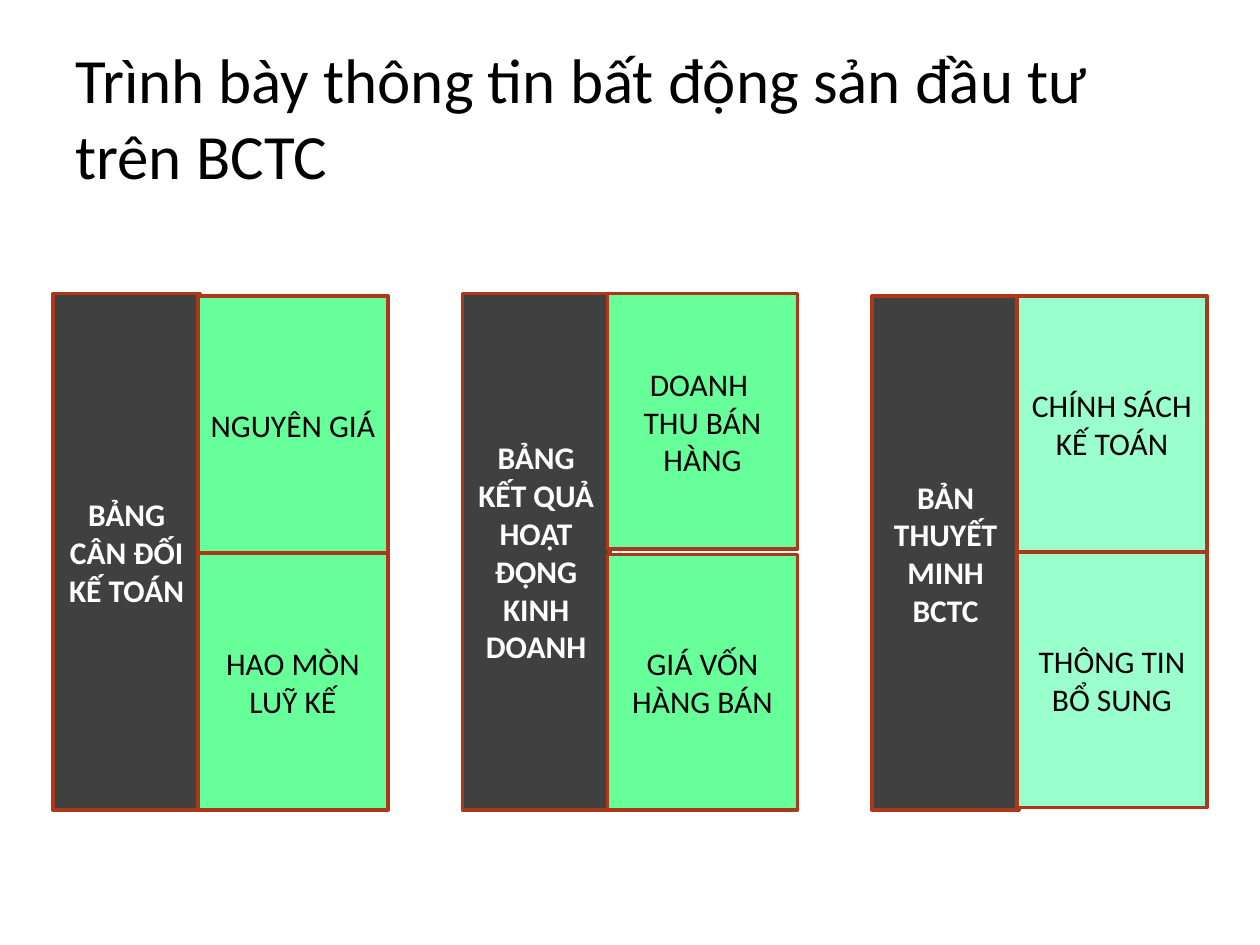
from dataclasses import dataclass

from pptx import Presentation
from pptx.dml.color import RGBColor
from pptx.enum.shapes import MSO_SHAPE
from pptx.enum.text import MSO_ANCHOR, PP_ALIGN
from pptx.util import Inches, Pt


@dataclass(frozen=True)
class Theme:
    font: str = "Calibri"
    title_size: int = 36
    body_size: int = 18
    black: str = "000000"
    white: str = "FFFFFF"
    dark: str = "404040"
    green: str = "66FF99"
    mint: str = "99FFCC"
    border: str = "AC3819"
    border_width: int = 2


@dataclass(frozen=True)
class Statement:
    """A report with its header block and the row edges of its items."""
    name: str
    items: tuple
    fill: str
    header_top: float
    item_top: float
    item_pitch: float
    item_height: float


THEME = Theme()
SLIDE_WIDTH, SLIDE_HEIGHT = 10, 7.5
FIRST_COLUMN, COLUMN_PITCH = 0.42, 3.25
HEADER_WIDTH, HEADER_BOTTOM = 1.17, 6.43
ITEM_OFFSET, ITEM_WIDTH = 1.15, 1.51

STATEMENTS = (
    Statement("BẢNG CÂN ĐỐI KẾ TOÁN", ("NGUYÊN GIÁ", "HAO MÒN LUỸ KẾ"),
              THEME.green, 2.33, 2.35, 2.04, 2.04),
    Statement("BẢNG KẾT QUẢ HOẠT ĐỘNG KINH DOANH",
              ("DOANH \nTHU BÁN HÀNG", "GIÁ VỐN HÀNG BÁN"),
              THEME.green, 2.33, 2.33, 2.07, 2.03),
    Statement("BẢN THUYẾT MINH BCTC", ("CHÍNH SÁCH KẾ TOÁN", "THÔNG TIN BỔ SUNG"),
              THEME.mint, 2.35, 2.35, 2.03, 2.03),
)


def write_text(shape, text, size, color, alignment, bold=False):
    text_frame = shape.text_frame
    text_frame.word_wrap = True
    text_frame.vertical_anchor = MSO_ANCHOR.MIDDLE
    text_frame.text = text
    for paragraph in text_frame.paragraphs:
        paragraph.alignment = alignment
        for run in paragraph.runs:
            run.font.name = THEME.font
            run.font.size = Pt(size)
            run.font.bold = bold
            run.font.color.rgb = RGBColor.from_string(color)


def add_title(slide, text):
    box = slide.shapes.add_textbox(
        Inches(0.05 * SLIDE_WIDTH), Inches(0.04 * SLIDE_HEIGHT),
        Inches(0.9 * SLIDE_WIDTH), Inches(SLIDE_HEIGHT / 6))
    write_text(box, text, THEME.title_size, THEME.black, PP_ALIGN.LEFT)


def add_block(group, text, bounds, fill, color, bold=False):
    shape = group.shapes.add_shape(MSO_SHAPE.RECTANGLE, *map(Inches, bounds))
    shape.shadow.inherit = False
    shape.fill.solid()
    shape.fill.fore_color.rgb = RGBColor.from_string(fill)
    shape.line.color.rgb = RGBColor.from_string(THEME.border)
    shape.line.width = Pt(THEME.border_width)
    write_text(shape, text, THEME.body_size, color, PP_ALIGN.CENTER, bold)


def add_statement(slide, statement, left):
    group = slide.shapes.add_group_shape()
    header_height = HEADER_BOTTOM - statement.header_top
    add_block(group, statement.name,
              (left, statement.header_top, HEADER_WIDTH, header_height),
              THEME.dark, THEME.white, bold=True)
    for row, item in enumerate(statement.items):
        top = statement.item_top + row * statement.item_pitch
        add_block(group, item,
                  (left + ITEM_OFFSET, top, ITEM_WIDTH, statement.item_height),
                  statement.fill, THEME.black)


def main():
    presentation = Presentation()
    presentation.slide_width = Inches(SLIDE_WIDTH)
    presentation.slide_height = Inches(SLIDE_HEIGHT)
    slide = presentation.slides.add_slide(presentation.slide_layouts[6])
    add_title(slide, "Trình bày thông tin bất động sản đầu tư trên BCTC")
    for column, statement in enumerate(STATEMENTS):
        add_statement(slide, statement, FIRST_COLUMN + column * COLUMN_PITCH)
    presentation.save("out.pptx")


if __name__ == "__main__":
    main()
